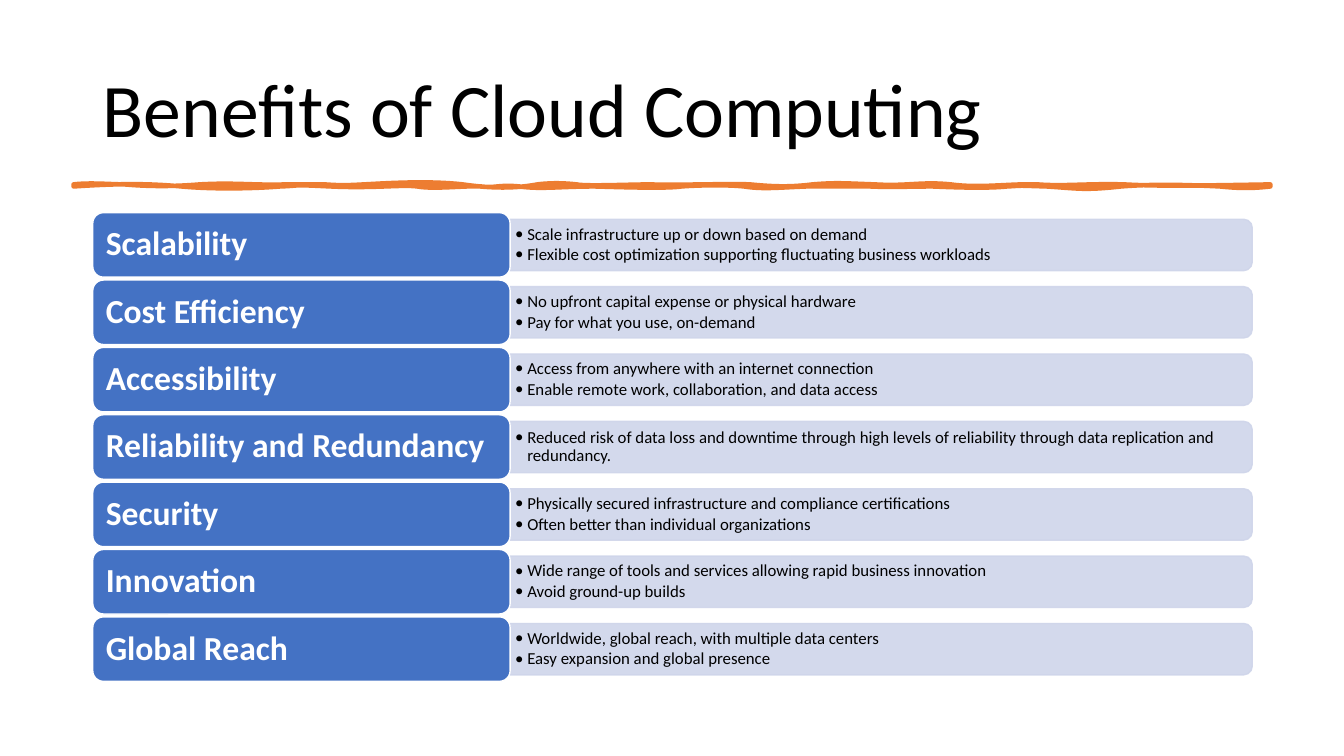
from lxml.etree import SubElement
from pptx import Presentation
from pptx.dml.color import RGBColor
from pptx.enum.shapes import MSO_SHAPE
from pptx.enum.text import MSO_ANCHOR, MSO_AUTO_SIZE, PP_ALIGN
from pptx.oxml.ns import qn
from pptx.util import Inches, Pt

BLACK = RGBColor(0x00, 0x00, 0x00)
WHITE = RGBColor(0xFF, 0xFF, 0xFF)
BLUE = RGBColor(0x44, 0x72, 0xC4)
PALE_BLUE = RGBColor(0xCF, 0xD5, 0xEA)
ORANGE = RGBColor(0xED, 0x7D, 0x31)

BENEFITS = [
    ("Scalability", ["Scale infrastructure up or down based on demand",
                     "Flexible cost optimization supporting fluctuating business workloads"]),
    ("Cost Efficiency", ["No upfront capital expense or physical hardware",
                         "Pay for what you use, on-demand"]),
    ("Accessibility", ["Access from anywhere with an internet connection",
                       "Enable remote work, collaboration, and data access"]),
    ("Reliability and Redundancy", ["Reduced risk of data loss and downtime through high levels of "
                                    "reliability through data replication and redundancy."]),
    ("Security", ["Physically secured infrastructure and compliance certifications",
                  "Often better than individual organizations"]),
    ("Innovation", ["Wide range of tools and services allowing rapid business innovation",
                    "Avoid ground-up builds"]),
    ("Global Reach", ["Worldwide, global reach, with multiple data centers",
                      "Easy expansion and global presence"]),
]

# Brush stroke: two control points, then the x where each curve ends
STROKE_LEFT, STROKE_TOP, STROKE_BOTTOM = 0.73, 1.83, 1.85
TOP_CURVES = [
    (0.89, 1.81, 1.11, 1.83, 1.24), (1.36, 1.84, 1.62, 1.86, 1.98),
    (2.34, 1.81, 2.51, 1.84, 2.84), (3.17, 1.83, 3.07, 1.83, 3.22),
    (3.38, 1.84, 3.42, 1.84, 3.61), (3.8, 1.82, 4.24, 1.79, 4.59),
    (4.94, 1.88, 5.17, 1.86, 5.33), (5.49, 1.81, 5.63, 1.82, 5.72),
    (5.81, 1.85, 6.25, 1.83, 6.46), (6.67, 1.84, 7.23, 1.82, 7.44),
    (7.65, 1.85, 7.82, 1.86, 8.06), (8.3, 1.81, 8.38, 1.82, 8.68),
    (8.99, 1.85, 9.14, 1.8, 9.43), (9.72, 1.87, 10.02, 1.82, 10.29),
    (10.55, 1.85, 10.78, 1.82, 11.15), (11.51, 1.85, 11.99, 1.84, 12.6),
]
BOTTOM_CURVES = [
    (12.6, 1.84, 12.6, 1.84, 12.6), (12.42, 1.87, 12.3, 1.87, 12.1),
    (11.9, 1.84, 11.49, 1.82, 11.12), (10.75, 1.89, 10.7, 1.87, 10.38),
    (10.05, 1.84, 10.18, 1.84, 9.99), (9.8, 1.87, 9.48, 1.86, 9.25),
    (9.02, 1.85, 8.84, 1.86, 8.63), (8.41, 1.85, 8.28, 1.85, 8),
    (7.73, 1.86, 7.57, 1.88, 7.38), (7.19, 1.83, 6.88, 1.84, 6.76),
    (6.63, 1.87, 6.24, 1.86, 5.9), (5.55, 1.85, 5.37, 1.88, 5.15),
    (4.94, 1.83, 4.91, 1.87, 4.77), (4.63, 1.84, 4.3, 1.88, 4.14),
    (3.99, 1.83, 3.71, 1.87, 3.28), (2.86, 1.83, 3.03, 1.84, 2.78),
    (2.53, 1.87, 2.13, 1.88, 1.8), (1.47, 1.82, 1.18, 1.82, 0.73),
]

LABEL_LEFT, LABEL_WIDTH, LABEL_HEIGHT = 0.92, 4.14, 0.64
PANEL_LEFT, PANEL_WIDTH, PANEL_HEIGHT = 5.06, 7.36, 0.51
FIRST_TOP, LAST_TOP = 2.11, 6.12
PITCH = (LAST_TOP - FIRST_TOP) / (len(BENEFITS) - 1)


def paint(shape, fill, line, width):
    shape.shadow.inherit = False
    shape.fill.solid()
    shape.fill.fore_color.rgb = fill
    shape.line.color.rgb = line
    shape.line.width = Pt(width)


def write(paragraph, text, size, color, bold=False):
    paragraph.alignment = PP_ALIGN.LEFT
    paragraph.line_spacing = 0.9
    paragraph.font.size = Pt(size)
    run = paragraph.add_run()
    run.text = text
    run.font.name = "Calibri"
    run.font.size = Pt(size)
    run.font.bold = bold
    run.font.color.rgb = color


prs = Presentation()
prs.slide_width, prs.slide_height = Inches(13.33), Inches(7.5)
slide = prs.slides.add_slide(prs.slide_layouts[5])

title = slide.shapes.title
title.left, title.top = Inches(0.92), Inches(0.4)
title.width, title.height = Inches(11.5), Inches(1.45)
title.text_frame.auto_size = MSO_AUTO_SIZE.NONE
title.text_frame.vertical_anchor = MSO_ANCHOR.MIDDLE
write(title.text_frame.paragraphs[0], "Benefits of Cloud Computing", 54, BLACK)

stroke_points = []
for curves, end_y in ((TOP_CURVES, STROKE_TOP), (BOTTOM_CURVES, STROKE_BOTTOM)):
    for x1, y1, x2, y2, end_x in curves:
        stroke_points += [(x1, y1), (x2, y2), (end_x, end_y)]
builder = slide.shapes.build_freeform(Inches(STROKE_LEFT), Inches(STROKE_TOP))
builder.add_line_segments([(Inches(x), Inches(y)) for x, y in stroke_points], close=True)
stroke = builder.convert_to_shape()
paint(stroke, ORANGE, ORANGE, 3.25)

# Every three straight segments become one Bezier curve
segments = list(stroke.element.iter(qn("a:lnTo")))
for first, second, third in zip(segments[::3], segments[1::3], segments[2::3]):
    first.tag = qn("a:cubicBezTo")
    for segment in (second, third):
        first.append(segment[0])
        segment.getparent().remove(segment)

for row, (benefit, details) in enumerate(BENEFITS):
    top = FIRST_TOP + row * PITCH
    middle = top + LABEL_HEIGHT / 2

    # A quarter turn puts the two rounded corners on the right
    panel = slide.shapes.add_shape(
        MSO_SHAPE.ROUND_2_SAME_RECTANGLE,
        Inches(PANEL_LEFT + (PANEL_WIDTH - PANEL_HEIGHT) / 2), Inches(middle - PANEL_WIDTH / 2),
        Inches(PANEL_HEIGHT), Inches(PANEL_WIDTH))
    panel.rotation = 90
    paint(panel, PALE_BLUE, PALE_BLUE, 1)
    for color in panel.element.spPr.iter(qn("a:srgbClr")):
        SubElement(color, qn("a:alpha"), val="90000")

    detail_box = slide.shapes.add_textbox(
        Inches(PANEL_LEFT), Inches(middle - 0.23), Inches(7.34), Inches(0.46)).text_frame
    detail_box.word_wrap = True
    detail_box.vertical_anchor = MSO_ANCHOR.MIDDLE
    detail_box.margin_left = detail_box.margin_right = Inches(0.05)
    detail_box.margin_top = detail_box.margin_bottom = Inches(0.03)
    for number, detail in enumerate(details):
        paragraph = detail_box.add_paragraph() if number else detail_box.paragraphs[0]
        properties = paragraph._p.get_or_add_pPr()
        properties.set("marL", str(Inches(0.12)))
        properties.set("indent", str(Inches(-0.12)))
        SubElement(properties, qn("a:buFont"), typeface="Calibri")
        SubElement(properties, qn("a:buChar"), char="•")
        paragraph.level = 1
        paragraph.space_after = Pt(1.8)
        write(paragraph, detail, 12, BLACK)

    label = slide.shapes.add_shape(
        MSO_SHAPE.ROUNDED_RECTANGLE, Inches(LABEL_LEFT), Inches(top),
        Inches(LABEL_WIDTH), Inches(LABEL_HEIGHT))
    paint(label, BLUE, WHITE, 1)
    label.text_frame.word_wrap = True
    label.text_frame.vertical_anchor = MSO_ANCHOR.MIDDLE
    write(label.text_frame.paragraphs[0], benefit, 24, WHITE, bold=True)

prs.save("out.pptx")
